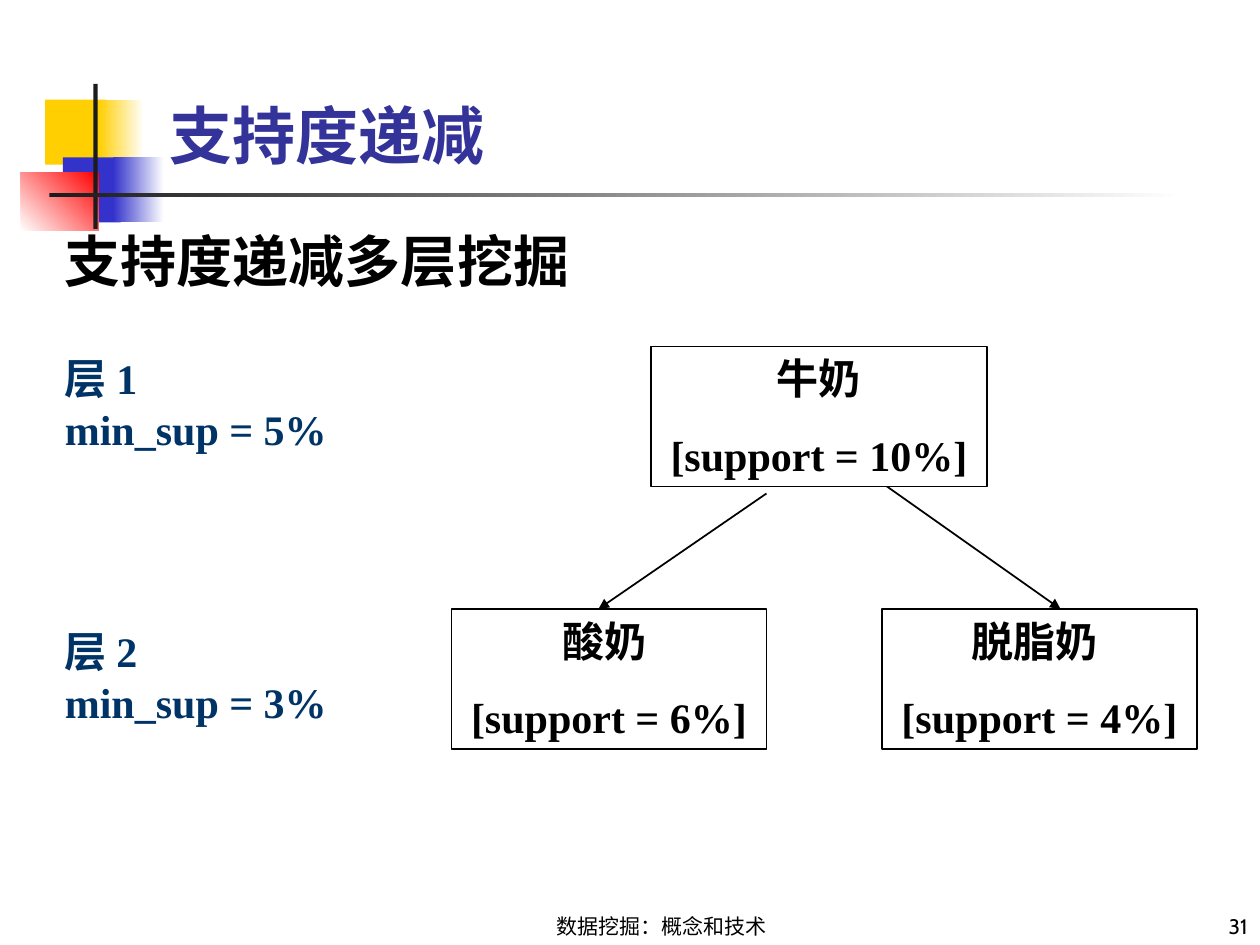
"""Builds a slide on multi-level mining with decreasing support."""
from dataclasses import dataclass

from lxml.etree import SubElement
from pptx import Presentation
from pptx.dml.color import RGBColor as Rgb
from pptx.enum.shapes import MSO_CONNECTOR as Connector, MSO_SHAPE as Shape
from pptx.enum.text import MSO_ANCHOR as Anchor, MSO_AUTO_SIZE as AutoSize, PP_ALIGN as Align
from pptx.oxml.ns import qn
from pptx.util import Inches, Pt


@dataclass(frozen=True)
class Theme:
    sans: str = "Cabin"
    serif: str = "Times New Roman"
    black: str = "000000"
    white: str = "FFFFFF"
    ink: str = "1C1C1C"
    yellow: str = "FFCF01"
    blue: str = "3333CC"
    red: str = "FF0000"
    title: str = "333399"
    level: str = "003366"
    title_size: int = 36
    heading_size: int = 32
    body_size: int = 24
    footer_size: int = 12
    node_gap: int = 15


class SlideBuilder:
    """Draws on a grid of 120 columns by 90 rows."""

    def __init__(self, deck, theme):
        self.theme = theme
        self.column = deck.slide_width / 120
        self.row = deck.slide_height / 90
        self.page = deck.slides.add_slide(deck.slide_layouts[6])

    def place(self, left, top, width, height):
        return (round(left * self.column), round(top * self.row),
                round(width * self.column), round(height * self.row))

    def set_lines(self, box, lines, size, color, font, bold=True, align=Align.LEFT,
                  anchor=Anchor.TOP, gap=0, wrap=True, grow=False):
        frame = box.text_frame
        frame.text = "\n".join(lines)
        frame.word_wrap = wrap
        frame.vertical_anchor = anchor
        frame.auto_size = AutoSize.SHAPE_TO_FIT_TEXT if grow else AutoSize.NONE
        for index, para in enumerate(frame.paragraphs):
            para.alignment = align
            if index and gap:
                para.space_before = Pt(gap)
            for span in para.runs:
                span.font.name = font
                span.font.size = Pt(size)
                span.font.bold = bold
                span.font.color.rgb = Rgb.from_string(color)

    def text(self, area, lines, size, color, font, **style):
        box = self.page.shapes.add_textbox(*self.place(*area))
        self.set_lines(box, lines, size, color, font, **style)

    def rectangle(self, area):
        box = self.page.shapes.add_shape(Shape.RECTANGLE, *self.place(*area))
        box.shadow.inherit = False
        box.line.fill.background()
        return box

    def block(self, area, color):
        fill = self.rectangle(area).fill
        fill.solid()
        fill.fore_color.rgb = Rgb.from_string(color)

    def fade(self, area, start, end, angle=0):
        fill = self.rectangle(area).fill
        fill.gradient()
        fill.gradient_angle = angle
        for stop, color in zip(fill.gradient_stops, (start, end)):
            stop.color.rgb = Rgb.from_string(color)

    def node(self, left, top, width, lines):
        theme = self.theme
        box = self.rectangle((left, top, width, 13.33))
        box.fill.solid()
        box.fill.fore_color.rgb = Rgb.from_string(theme.white)
        box.line.color.rgb = Rgb.from_string(theme.black)
        box.line.width = Pt(0.75)
        self.set_lines(box, lines, theme.body_size, theme.black, theme.serif,
                       align=Align.CENTER, gap=theme.node_gap, grow=True)

    def arrow(self, start, end):
        points = self.place(*start, *end)
        arrow = self.page.shapes.add_connector(Connector.STRAIGHT, *points)
        arrow.line.color.rgb = Rgb.from_string(self.theme.black)
        arrow.line.width = Pt(1)
        properties = arrow._element.spPr
        SubElement(properties.find(qn("a:ln")), qn("a:tailEnd"), type="triangle")
        SubElement(properties, qn("a:effectLst"))

    def ornament(self):
        theme = self.theme
        self.block((4.3, 9.5, 5.8, 6.2), theme.yellow)
        self.fade((9.4, 9.5, 4.3, 6.2), theme.yellow, theme.white)
        self.block((6, 15, 5.5, 6.2), theme.blue)
        self.fade((10.8, 15, 4.8, 6.2), theme.blue, theme.white)
        self.fade((2, 16.4, 7.4, 5.6), theme.white, theme.red, 45)
        self.block((8.9, 8, 0.4, 13.8), theme.ink)
        self.fade((4.7, 18.4, 108, 0.4), theme.ink, theme.white)

    def footer(self, left, width, line, align):
        theme = self.theme
        self.text((left, 85, width, 5), [line], theme.footer_size, theme.black,
                  theme.sans, bold=False, align=align, anchor=Anchor.BOTTOM)

    def level(self, top, number, support):
        theme = self.theme
        self.text((5, top, 27.4, 10.8), [f"层 {number}", f"min_sup = {support}%"],
                  theme.body_size, theme.level, theme.serif, wrap=False, grow=True)


def main():
    deck = Presentation()
    deck.slide_width, deck.slide_height = Inches(10), Inches(7.5)
    theme = Theme()
    slide = SlideBuilder(deck, theme)
    slide.ornament()
    slide.footer(44, 38, "数据挖掘：概念和技术", Align.CENTER)
    slide.footer(95, 25, "31", Align.RIGHT)
    slide.text((15, 9, 102, 8), ["支持度递减"], theme.title_size, theme.title,
               theme.sans, anchor=Anchor.BOTTOM)
    slide.text((5, 21, 110, 13), ["支持度递减多层挖掘"], theme.heading_size,
               theme.black, theme.sans)
    slide.node(43, 58, 30, ["酸奶 ", "[support = 6%]"])
    slide.node(84, 58, 30, ["脱脂奶 ", "[support = 4%]"])
    slide.arrow((73, 47), (57, 58))
    slide.arrow((84, 46), (101, 58))
    slide.level(33, 1, 5)
    slide.level(59, 2, 3)
    slide.node(62, 33, 32, ["牛奶", "[support = 10%]"])
    deck.save("out.pptx")


if __name__ == "__main__":
    main()
